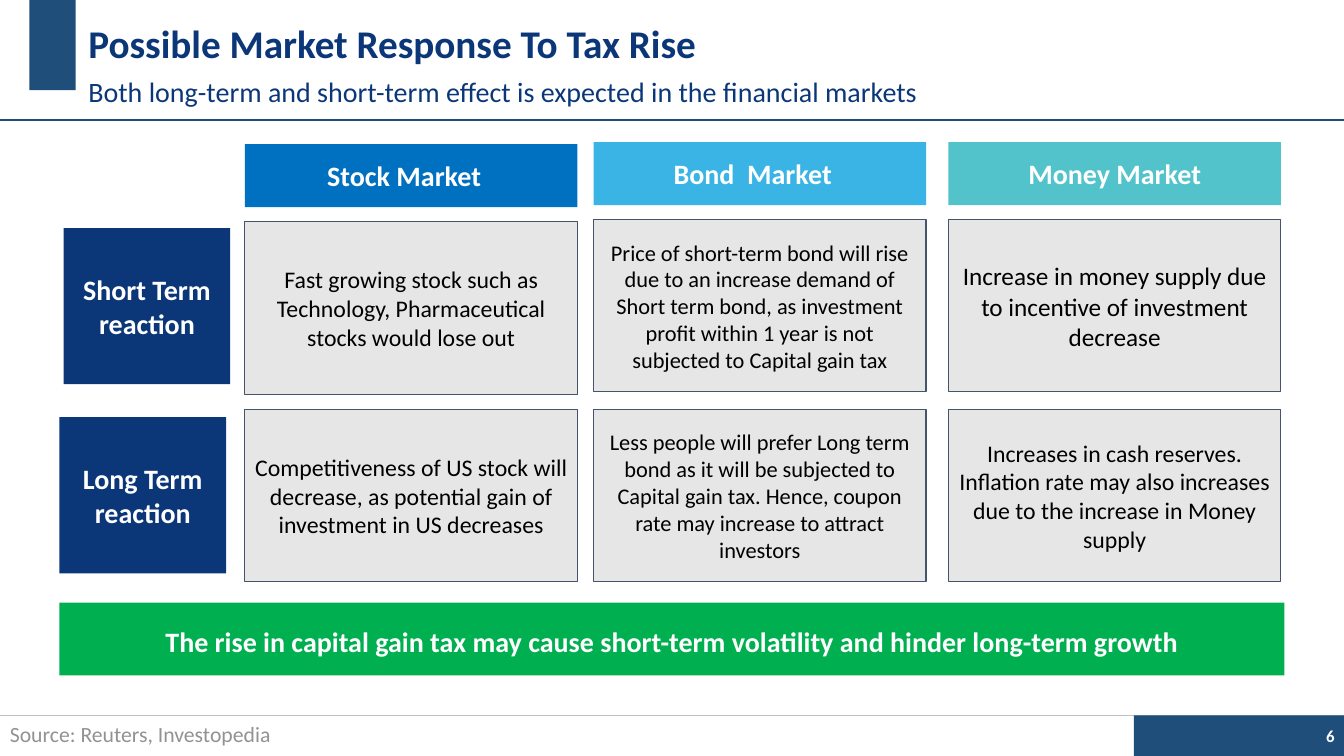
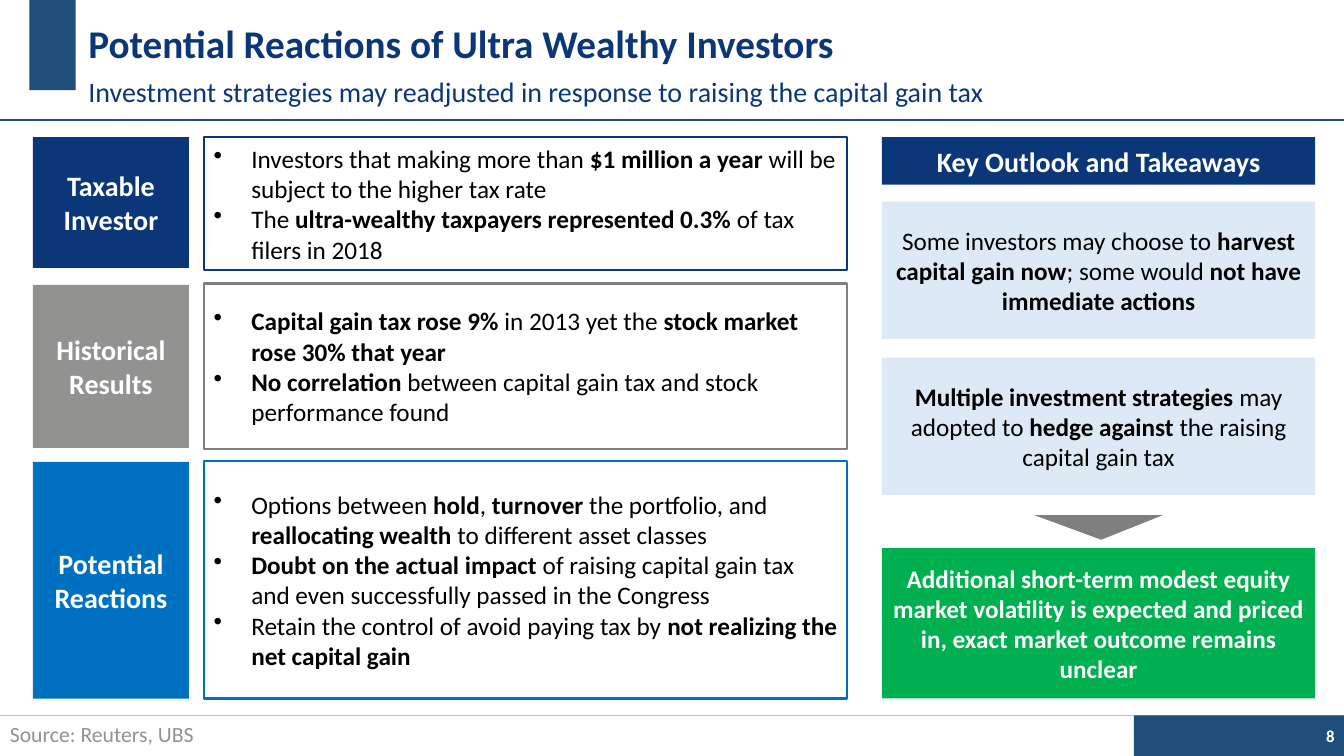
from pptx import Presentation
from pptx.dml.color import RGBColor
from pptx.enum.shapes import MSO_CONNECTOR, MSO_SHAPE
from pptx.enum.text import MSO_ANCHOR, PP_ALIGN
from pptx.oxml.ns import qn
from pptx.util import Pt
from lxml.etree import SubElement

FONT = "Calibri"
NAVY = RGBColor(0x0B, 0x37, 0x79)
STEEL = RGBColor(0x1E, 0x4E, 0x79)
BLUE = RGBColor(0x00, 0x70, 0xC0)
SKY = RGBColor(0x3A, 0xB4, 0xE5)
TEAL = RGBColor(0x52, 0xC3, 0xCB)
GREEN = RGBColor(0x00, 0xB0, 0x50)
ICE = RGBColor(0xDD, 0xEA, 0xF6)
PALE = RGBColor(0xE7, 0xE6, 0xE6)
SLATE = RGBColor(0x44, 0x54, 0x6A)
SILVER = RGBColor(0xBF, 0xBF, 0xBF)
GREY = RGBColor(0x92, 0x93, 0x91)
DARK = RGBColor(0x7F, 0x7F, 0x7F)
WHITE = RGBColor(0xFF, 0xFF, 0xFF)
BLACK = RGBColor(0x00, 0x00, 0x00)

WIDE, TALL = 960, 540
SNUG = (6.5, 3, 6.5, 3)
ROOMY = (7.2, 7.2, 7.2, 7.2)
FLAT = (7.2, 3.6, 7.2, 3.6)

# Content: text is a list of paragraphs, and *stars* enclose bold words
MARKET = {
    "title": "Possible Market Response To Tax Rise",
    "sub": "Both long-term and short-term effect is expected in the financial markets",
    "source": "Source: Reuters, Investopedia",
    "page": "6",
    # text, left, top
    "sides": [
        (["Short Term reaction"], 45.5, 163),
        (["Long Term", "reaction"], 42.5, 298),
    ],
    # head, colour, left, top, right inset, cells as (size, text)
    "columns": [
        ("Stock Market", BLUE, 175, 103, 16.5, [
            (17, ["Fast growing stock such as Technology, Pharmaceutical stocks would lose out"]),
            (17, ["Competitiveness of US stock will decrease, as potential gain of "
                  "investment in US decreases"]),
        ]),
        ("Bond  Market", SKY, 424, 101.5, 16.5, [
            (16, ["Price of short-term bond will rise due to an increase demand of Short term "
                  "bond, as investment profit within 1 year is not subjected to Capital gain tax"]),
            (16, ["Less people will prefer Long term bond as it will be subjected to Capital "
                  "gain tax. Hence, coupon rate may increase to attract investors"]),
        ]),
        ("Money Market", TEAL, 677.5, 101.5, 6.5, [
            (18, ["Increase in money supply due to incentive of investment decrease"]),
            (17, ["Increases in cash reserves.",
                  "Inflation rate may also increases due to the increase in Money supply"]),
        ]),
    ],
    "close": ["The rise in capital gain tax may cause short-term volatility and hinder "
              "long-term growth"],
}
WEALTH = {
    "title": "Potential Reactions of Ultra Wealthy Investors",
    "sub": "Investment strategies may readjusted in response to raising the capital gain tax",
    "source": "Source: Reuters, UBS",
    "page": "8",
    # label, fill, line, label top and height, box top and height, points
    "rows": [
        (["Taxable", "Investor"], NAVY, NAVY, (98, 93.5), (98, 95), [
            "Investors that making more than *$1 million a year* will be subject to the "
            "higher tax rate",
            "The *ultra-wealthy taxpayers represented 0.3% *of tax filers in 2018",
        ]),
        (["Historical", "Results"], GREY, DARK, (203.5, 116.5), (202.5, 118), [
            "*Capital gain tax rose 9%* in 2013 yet the *stock market rose 30% that year*",
            "*No correlation* between capital gain tax and stock performance found",
        ]),
        (["Potential Reactions"], BLUE, BLUE, (330, 169), (329, 170), [
            "Options between *hold*, *turnover* the portfolio, and *reallocating wealth* "
            "to different asset classes",
            "*Doubt on the actual impact* of raising capital gain tax and even successfully "
            "passed in the Congress",
            "Retain the control of avoid paying tax by *not realizing the net capital gain*",
        ]),
    ],
    # text, fill, colour, size, top, height
    "outlook": [
        ("*Key Outlook and Takeaways*", NAVY, WHITE, 20, 98, 34),
        ("Some investors may choose to *harvest capital gain now*; some would "
         "*not have immediate actions*", ICE, BLACK, 18, 144, 98),
        ("*Multiple investment strategies* may adopted to *hedge against* the raising "
         "capital gain tax", ICE, BLACK, 18, 255.5, 98),
        ("*Additional short-term modest equity market volatility is expected and priced in, "
         "exact market outcome remains unclear*", GREEN, WHITE, 18, 391.5, 107.5),
    ],
}


def write(shape, paras, size, color, bold=False, align=PP_ALIGN.CENTER, inset=ROOMY,
          anchor=MSO_ANCHOR.MIDDLE, spacing=None, bullet=False):
    frame = shape.text_frame
    frame.word_wrap = True
    frame.vertical_anchor = anchor
    (frame.margin_left, frame.margin_top,
     frame.margin_right, frame.margin_bottom) = map(Pt, inset)
    for i, text in enumerate(paras):
        para = frame.add_paragraph() if i else frame.paragraphs[0]
        para.alignment = align
        if spacing:
            para.line_spacing = spacing
        if bullet:
            props = para._p.get_or_add_pPr()
            props.set("marL", str(Pt(27)))
            props.set("indent", str(-Pt(27)))
            SubElement(props, qn("a:buChar")).set("char", "•")
        for j, part in enumerate(text.split("*")):
            if part:
                run = para.add_run()
                run.text = part
                run.font.name = FONT
                run.font.size = Pt(size)
                run.font.bold = bold or j % 2 == 1
                run.font.color.rgb = color


def block(slide, x, y, w, h, fill=None, line=None, weight=0.75, kind=MSO_SHAPE.RECTANGLE):
    shape = slide.shapes.add_shape(kind, Pt(x), Pt(y), Pt(w), Pt(h))
    shape.shadow.inherit = False
    if fill is None:
        shape.fill.background()
    else:
        shape.fill.solid()
        shape.fill.fore_color.rgb = fill
    if line is None:
        shape.line.fill.background()
    else:
        shape.line.color.rgb = line
        shape.line.width = Pt(weight)
    return shape


def rule(slide, y, color, weight):
    line = slide.shapes.add_connector(MSO_CONNECTOR.STRAIGHT, 0, Pt(y), Pt(WIDE), Pt(y))
    line.line.color.rgb = color
    line.line.width = Pt(weight)
    SubElement(line._element.spPr, qn("a:effectLst"))


def label(slide, x, y, w, h, text, size, color, **style):
    box = slide.shapes.add_textbox(Pt(x), Pt(y), Pt(w), Pt(h))
    write(box, [text], size, color, **style)


def start(deck, data):
    """Add a slide with the shared bands, title and footer."""
    slide = deck.slides.add_slide(deck.slide_layouts[6])
    rule(slide, 511, SILVER, 0.75)
    block(slide, 810, 511, 150, 29, STEEL)
    block(slide, 21, 0, 33, 64.5, STEEL)
    rule(slide, 85.5, STEEL, 1.5)
    label(slide, 744.5, 511, 216, 29, data["page"], 12, WHITE, bold=True,
          align=PP_ALIGN.RIGHT, inset=FLAT)
    label(slide, 56, 3.5, 782, 58.5, data["title"], 28, NAVY, bold=True,
          align=PP_ALIGN.LEFT, inset=FLAT, spacing=0.9)
    label(slide, 56, 49, 782, 35, data["sub"], 20, NAVY,
          align=PP_ALIGN.LEFT, inset=FLAT, spacing=0.9)
    label(slide, 0, 510, 252, 30, data["source"], 15.5, GREY,
          align=PP_ALIGN.LEFT, anchor=MSO_ANCHOR.TOP, spacing=0.9)
    return slide


def market(deck):
    slide = start(deck, MARKET)
    # Row labels
    for text, x, y in MARKET["sides"]:
        write(block(slide, x, y, 119, 111.5, NAVY), text, 20, WHITE, bold=True, inset=SNUG)
    # Columns of a head and two cells
    for head, color, x, top, right, cells in MARKET["columns"]:
        write(block(slide, x, top, 237.5, 45, color), [head], 20, WHITE, bold=True,
              inset=(6.5, 3, right, 3))
        for y, (size, text) in zip((top + 55.5, 292.5), cells):
            write(block(slide, x, y, 237.5, 123, PALE, SLATE), text, size, BLACK)
    # Closing band
    write(block(slide, 42.5, 430.5, 875, 52, GREEN), MARKET["close"], 20, WHITE,
          bold=True, spacing=1.15)


def wealth(deck):
    slide = start(deck, WEALTH)
    # Labelled bullet boxes
    for text, fill, line, side, body, points in WEALTH["rows"]:
        write(block(slide, 23.5, side[0], 111.5, side[1], fill), text, 20, WHITE,
              bold=True, inset=SNUG)
        write(block(slide, 146, body[0], 459, body[1], line=line, weight=1.5), points, 18,
              BLACK, align=PP_ALIGN.LEFT, inset=SNUG, bullet=True)
    # Outlook column
    for text, fill, color, size, y, h in WEALTH["outlook"]:
        write(block(slide, 630, y, 309.5, h, fill), [text], size, color)
    # Pointer to the outcome
    arrow = block(slide, 739, 368, 91.5, 17.5, DARK, kind=MSO_SHAPE.ISOSCELES_TRIANGLE)
    arrow.adjustments[0] = 0.48
    arrow.rotation = 180


def main():
    deck = Presentation()
    deck.slide_width, deck.slide_height = Pt(WIDE), Pt(TALL)
    market(deck)
    wealth(deck)
    deck.save("out.pptx")


if __name__ == "__main__":
    main()
